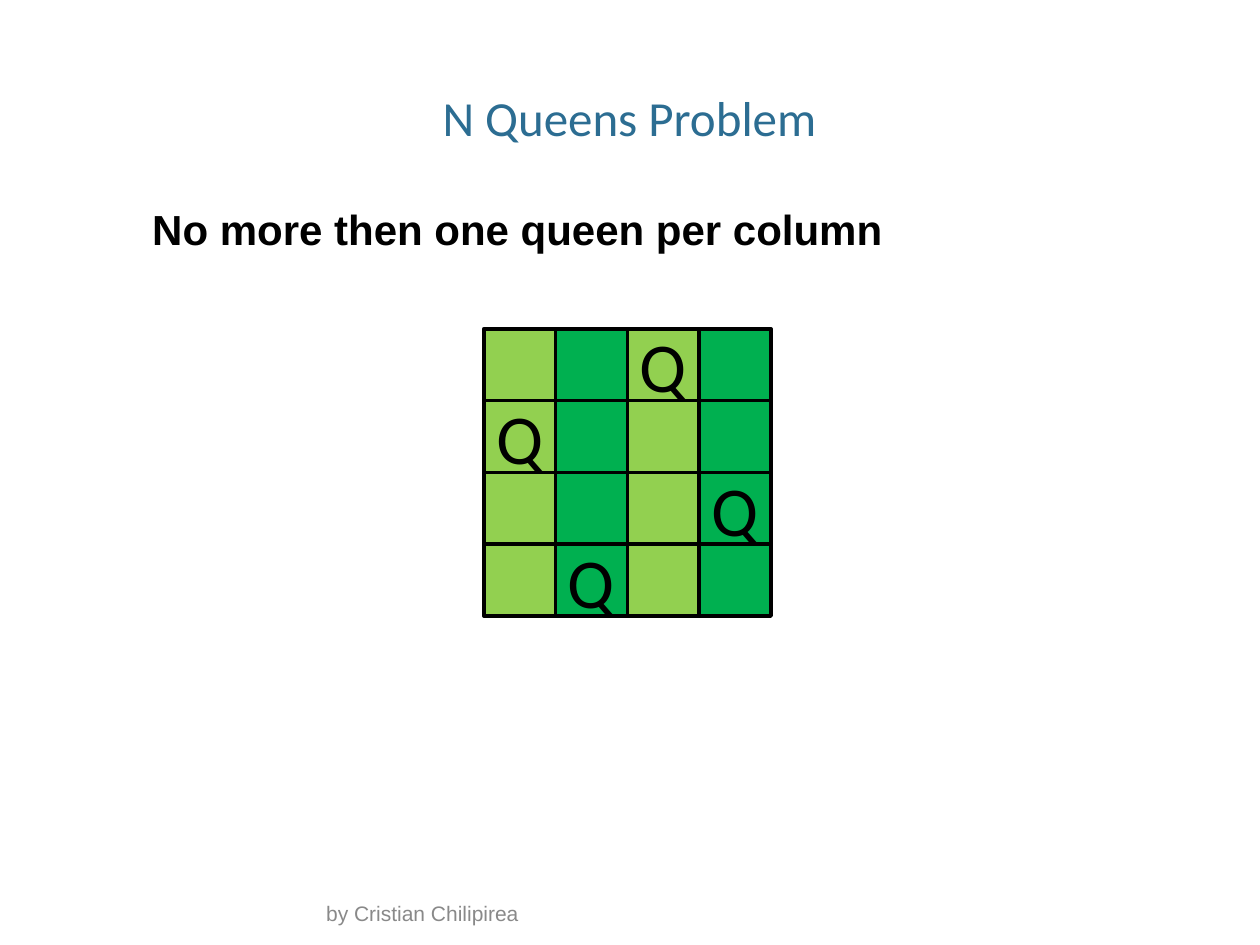
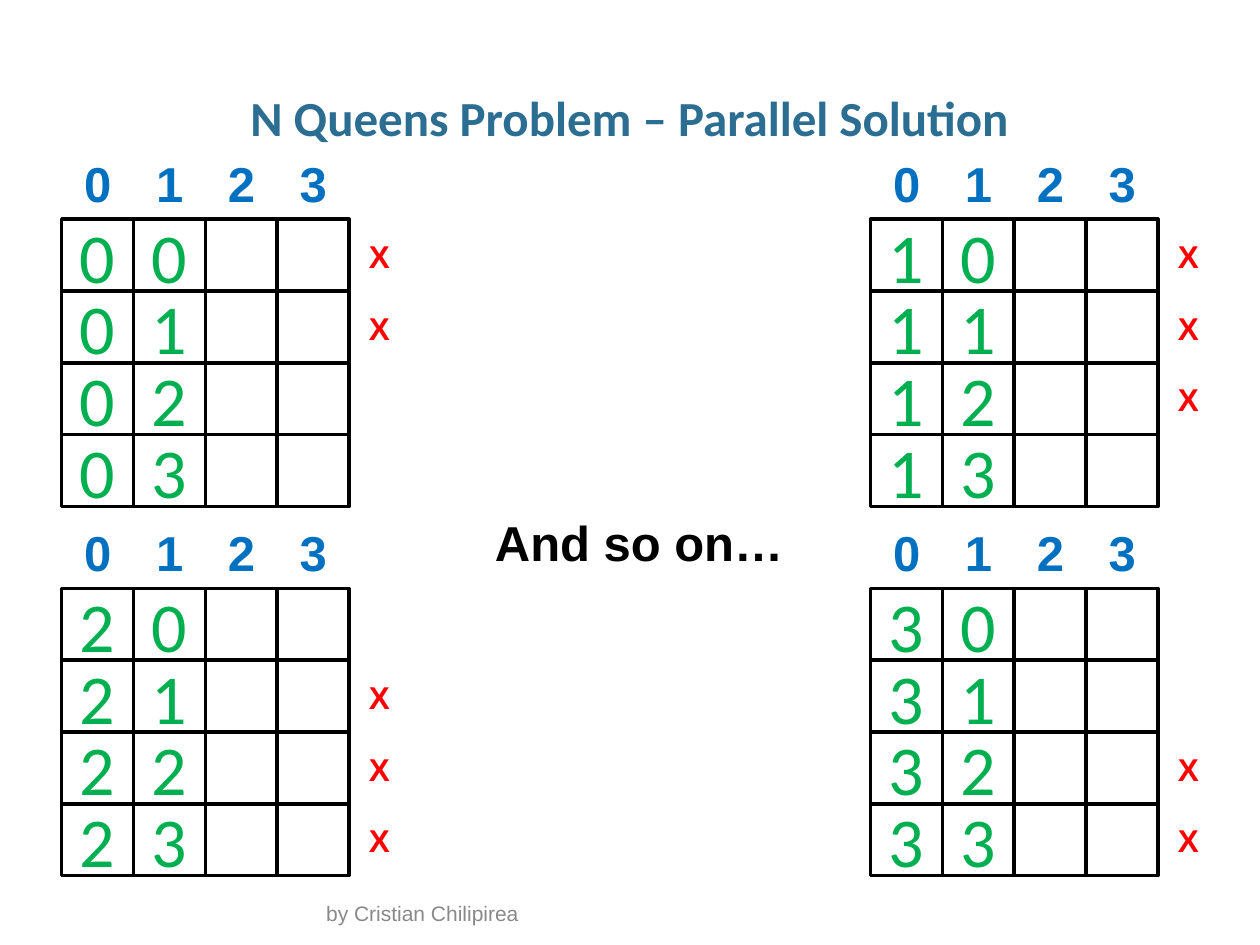
from pptx import Presentation
from pptx.dml.color import RGBColor
from pptx.enum.shapes import MSO_SHAPE as Shape
from pptx.enum.text import MSO_ANCHOR as Anchor, MSO_AUTO_SIZE as AutoSize, PP_ALIGN as Align
from pptx.util import Inches, Pt

COLORS = {
    "title": "2C6D92", "footer": "898989", "ink": "000000", "white": "FFFFFF",
    "light": "92D050", "dark": "00B050", "header": "0070C0", "reject": "FF0000",
}
FOOTER = "by Cristian Chilipirea"
SIZE = 4
CELL = 0.57

# Queen positions as (row, column)
QUEENS = [(0, 2), (1, 0), (2, 3), (3, 1)]
QUEEN_BOARD = (3.84, 2.61)

# One board per first value: left, top and the rows that are rejected
BOARDS = [
    (0.49, 1.74, [0, 1]),
    (6.91, 1.74, [0, 1, 2]),
    (0.49, 4.67, [1, 2, 3]),
    (6.91, 4.67, [2, 3]),
]


def color(name):
    """Return the named colour."""
    return RGBColor.from_string(COLORS[name])


def add_span(para, text, size, font, ink, bold=False):
    """Add one formatted run to a paragraph."""
    span = para.add_run()
    span.text = text
    span.font.size = Pt(size)
    span.font.name = font
    span.font.bold = bold
    span.font.color.rgb = color(ink)


def add_box(page, place):
    """Add an empty wrapping text box."""
    box = page.shapes.add_textbox(*map(Inches, place))
    box.text_frame.word_wrap = True
    return box.text_frame


def add_label(page, text, place, size, ink):
    """Add a bold one-line label that fits its text."""
    frame = add_box(page, place)
    frame.word_wrap = False
    frame.auto_size = AutoSize.SHAPE_TO_FIT_TEXT
    add_span(frame.paragraphs[0], text, size, "Arial", ink, bold=True)


def add_page(deck, title, bold=False):
    """Add a blank slide with the shared title and footer."""
    page = deck.slides.add_slide(deck.slide_layouts[6])
    frame = add_box(page, (0.34, 0.68, 9.31, 0.5))
    frame.margin_left = frame.margin_right = 0
    para = frame.paragraphs[0]
    para.alignment = Align.CENTER
    para.line_spacing = 0.95
    add_span(para, title, 28, "Calibri", "title", bold)
    frame = add_box(page, (2.49, 7.16, 5.02, 0.24))
    frame.vertical_anchor = Anchor.BOTTOM
    add_span(frame.paragraphs[0], FOOTER, 12, "Arial", "footer")
    return page


def add_cell(page, left, top, fill, text, ink):
    """Add one outlined board square, with a symbol if there is one."""
    cell = page.shapes.add_shape(
        Shape.RECTANGLE, Inches(left), Inches(top), Inches(CELL), Inches(CELL))
    cell.shadow.inherit = False
    cell.line.color.rgb = color("ink")
    cell.line.width = Pt(2)
    if fill:
        cell.fill.solid()
        cell.fill.fore_color.rgb = color(fill)
    else:
        cell.fill.background()
    if text:
        cell.text_frame.vertical_anchor = Anchor.MIDDLE
        para = cell.text_frame.paragraphs[0]
        para.alignment = Align.CENTER
        add_span(para, text, 40, "Calibri", ink)


def add_board(page, left, top, fills, symbols, ink):
    """Add a board; fills go by column, symbols by (row, column)."""
    for row in range(SIZE):
        for column, fill in enumerate(fills):
            add_cell(page, left + column * CELL, top + row * CELL,
                     fill, symbols.get((row, column)), ink)


def add_search_board(page, first, left, top, rejected):
    """Add a board of partial solutions with column numbers and reject marks."""
    symbols = {}
    for row in range(SIZE):
        symbols[row, 0] = str(first)
        symbols[row, 1] = str(row)
    add_board(page, left, top, [None, "white", None, None], symbols, "dark")
    for column in range(SIZE):
        place = (left + 0.08 + column * CELL, top - CELL, 0.42, CELL)
        add_label(page, str(column), place, 28, "header")
    for row in rejected:
        place = (left + SIZE * CELL + 0.06, top + 0.09 + row * CELL, 0.37, 0.4)
        add_label(page, "X", place, 18, "reject")


deck = Presentation()
deck.slide_width, deck.slide_height = Inches(10), Inches(7.5)

page = add_page(deck, "N Queens Problem")
add_board(page, *QUEEN_BOARD, ["light", "dark"] * 2, dict.fromkeys(QUEENS, "Q"), "ink")
add_label(page, "No more then one queen per column", (1.11, 1.57, 6.05, 0.5), 24, "ink")

page = add_page(deck, "N Queens Problem – Parallel Solution", bold=True)
for first, (left, top, rejected) in enumerate(BOARDS):
    add_search_board(page, first, left, top, rejected)
add_label(page, "And so on…", (3.83, 4.02, 2.52, 0.57), 28, "ink")

deck.save("out.pptx")
